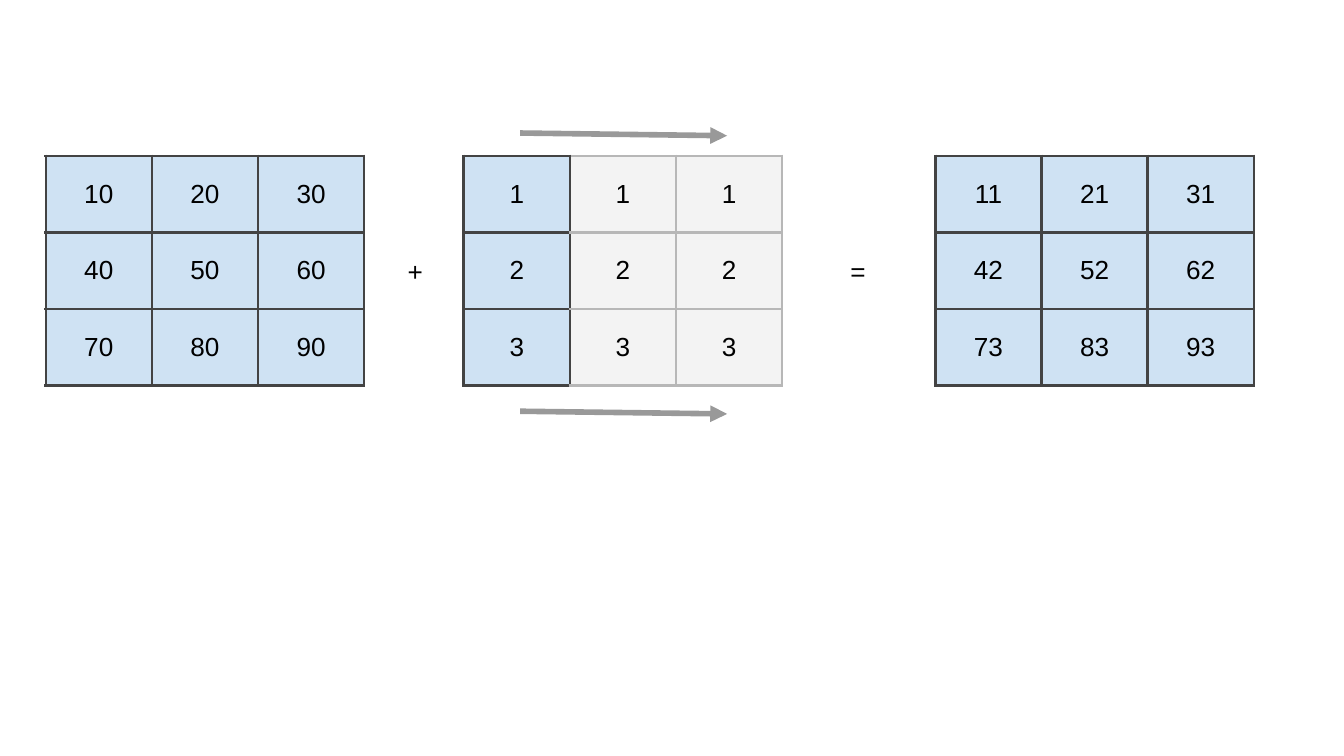
import pptx
import pptx.dml.color
import pptx.enum.shapes
import pptx.enum.text
import pptx.oxml.ns
import pptx.util
from lxml import etree
from pptx.util import Inches

RGBColor = pptx.dml.color.RGBColor
BLACK = RGBColor(0x00, 0x00, 0x00)
BLUE = RGBColor(0xCF, 0xE2, 0xF3)
PALE = RGBColor(0xF3, 0xF3, 0xF3)
DARK_EDGE = RGBColor(0x43, 0x43, 0x43)
PALE_EDGE = RGBColor(0xB7, 0xB7, 0xB7)
ARROW_GRAY = RGBColor(0x99, 0x99, 0x99)

CENTER = pptx.enum.text.PP_ALIGN.CENTER
LEFT = pptx.enum.text.PP_ALIGN.LEFT
MIDDLE = pptx.enum.text.MSO_ANCHOR.MIDDLE
COLUMN_WIDTH, ROW_HEIGHT, MARGIN = 0.79, 0.57, 0.1
MATRIX_TOP = 1.16


def write_text(frame, text, size=14, font="Arial", color=BLACK, align=CENTER):
    """Write one formatted line into a text frame."""
    paragraph = frame.paragraphs[0]
    paragraph.alignment = align
    run = paragraph.add_run()
    run.text = text
    run.font.size = pptx.util.Pt(size)
    run.font.name = font
    run.font.color.rgb = color


def set_margins(holder):
    """Give a cell or text frame equal margins on all sides."""
    holder.margin_left = holder.margin_right = Inches(MARGIN)
    holder.margin_top = holder.margin_bottom = Inches(MARGIN)


def add_border(cell, side, color, width=1.5):
    """Draw one side (L, R, T or B) of a table cell."""
    qn = pptx.oxml.ns.qn
    properties = cell._tc.get_or_add_tcPr()
    line = etree.SubElement(properties, qn(f"a:ln{side}"), w=str(pptx.util.Pt(width)))
    fill = etree.SubElement(line, qn("a:solidFill"))
    etree.SubElement(fill, qn("a:srgbClr"), val=str(color))


def add_matrix(slide, left, top, values, solid_columns=3):
    """Place a matrix whose columns after the solid ones are pale."""
    rows, columns = len(values), len(values[0])
    table = slide.shapes.add_table(
        rows, columns, Inches(left), Inches(top),
        Inches(columns * COLUMN_WIDTH), Inches(rows * ROW_HEIGHT)).table
    table.first_row = table.horz_banding = False
    for row, numbers in enumerate(values):
        for column, number in enumerate(numbers):
            cell = table.cell(row, column)
            solid = column < solid_columns
            edge = DARK_EDGE if solid else PALE_EDGE
            left_edge = DARK_EDGE if column <= solid_columns else PALE_EDGE
            for side in "LRTB":
                add_border(cell, side, left_edge if side == "L" else edge)
            cell.fill.solid()
            cell.fill.fore_color.rgb = BLUE if solid else PALE
            cell.vertical_anchor = MIDDLE
            set_margins(cell)
            write_text(cell.text_frame, str(number))


def add_operator(slide, left, top, symbol, align=CENTER):
    """Place an operator sign between two matrices."""
    box = slide.shapes.add_textbox(Inches(left), Inches(top), Inches(0.34), Inches(0.52))
    frame = box.text_frame
    frame.word_wrap = True
    frame.vertical_anchor = MIDDLE
    set_margins(frame)
    write_text(frame, symbol, align=align)


def add_broadcast_arrow(slide, left, top, width=1.54, drop=0.02):
    """Place an arrow showing the direction of broadcasting."""
    qn = pptx.oxml.ns.qn
    arrow = slide.shapes.add_connector(
        pptx.enum.shapes.MSO_CONNECTOR.STRAIGHT, Inches(left), Inches(top),
        Inches(left + width), Inches(top + drop))
    arrow.line.color.rgb = ARROW_GRAY
    arrow.line.width = pptx.util.Pt(3)
    etree.SubElement(arrow.line._get_or_add_ln(), qn("a:tailEnd"), type="triangle")
    etree.SubElement(arrow._element.spPr, qn("a:effectLst"))


def main():
    """Build the matrix broadcasting slide."""
    presentation = pptx.Presentation()
    presentation.slide_width = Inches(10)
    presentation.slide_height = presentation.slide_width * 9 // 16
    slide = presentation.slides.add_slide(presentation.slide_layouts[6])

    matrix = [[10, 20, 30], [40, 50, 60], [70, 80, 90]]
    broadcast = [[number] * 3 for number in (1, 2, 3)]
    total = [[a + b for a, b in zip(*rows)] for rows in zip(matrix, broadcast)]

    add_matrix(slide, 0.34, MATRIX_TOP, matrix)
    add_matrix(slide, 6.96, MATRIX_TOP, total)
    add_operator(slide, 2.92, 1.76, "+")
    add_operator(slide, 6.23, 1.76, "=", align=LEFT)
    add_matrix(slide, 3.45, MATRIX_TOP, broadcast, solid_columns=1)
    for top in (0.99, 3.06):
        add_broadcast_arrow(slide, 3.87, top)

    presentation.save("out.pptx")


if __name__ == "__main__":
    main()
